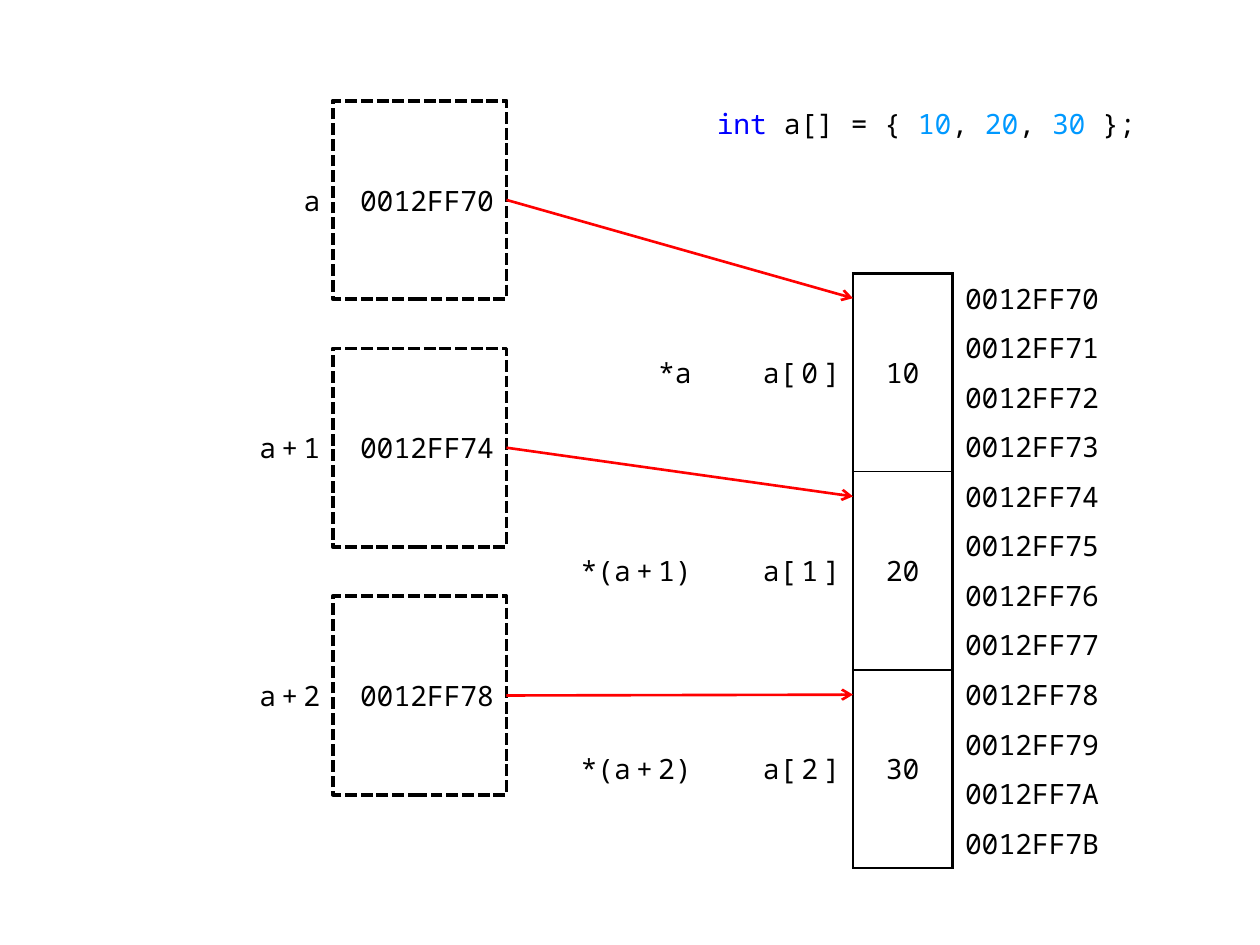
from lxml import etree
from pptx import Presentation
from pptx.dml.color import RGBColor
from pptx.enum.dml import MSO_LINE
from pptx.enum.shapes import MSO_CONNECTOR, MSO_SHAPE
from pptx.enum.text import MSO_ANCHOR, PP_ALIGN
from pptx.oxml.ns import qn
from pptx.util import Inches, Pt

LEFT, MID, RIGHT = PP_ALIGN.LEFT, PP_ALIGN.CENTER, PP_ALIGN.RIGHT
CENTER, TOP = MSO_ANCHOR.MIDDLE, MSO_ANCHOR.TOP
DOTS, RECT, LINE = MSO_LINE.SQUARE_DOT, MSO_SHAPE.RECTANGLE, MSO_CONNECTOR.STRAIGHT
COLORS = {"ink": "000000", "key": "0000FF", "num": "0099FF", "arrow": "FF0000"}
FONT = "Noto Sans Mono"
PLAIN = "{2D5ABB26-0587-4C30-8999-92F81FD0307C}"
COUNT, SPAN = 3, 4
ROWS = COUNT * SPAN
ROW = Inches(4.72) // ROWS
BASE = 0x0012FF70
VALUES = ["10", "20", "30"]


def rgb(name):
    """Return the named colour."""
    return RGBColor.from_string(COLORS[name])


def write(frame, *runs, align=LEFT, anchor=CENTER, size=16):
    """Fill a frame with runs of (text, colour, spacing in points)."""
    frame.word_wrap = True
    frame.vertical_anchor = anchor
    para = frame.paragraphs[0]
    para.alignment = align
    for text, color, gap in runs:
        run = para.add_run()
        run.text = text
        run.font.name = FONT
        run.font.size = Pt(size)
        run.font.color.rgb = rgb(color)
        if gap:
            run.font._element.set("spc", str(gap * 100))


def ink(text, gap=0):
    """Return a run in the main text colour."""
    return text, "ink", gap


def border(cell, **sides):
    """Draw cell borders, given as L, R, T, B widths in that order."""
    props = cell._tc.get_or_add_tcPr()
    for spot, (side, width) in enumerate(sides.items()):
        line = etree.Element(qn("a:ln" + side), w=str(Pt(width)))
        fill = etree.SubElement(line, qn("a:solidFill"))
        etree.SubElement(fill, qn("a:srgbClr"), val=COLORS["ink"])
        props.insert(spot, line)


def add_code(slide, x, y, w, h):
    """Add the array declaration."""
    box = slide.shapes.add_textbox(x, y, w, h)
    runs = [("int ", "key", 0), ink("a[] = { ")]
    for i, value in enumerate(VALUES):
        runs += [("" + value, "num", 0), ink(", " if i < COUNT - 1 else " };")]
    write(box.text_frame, *runs, anchor=TOP)


def add_memory(slide, x, y, w, h):
    """Add the table of array elements and their byte addresses."""
    frame = slide.shapes.add_table(ROWS, 6, x, y, w, h)
    table = frame.table
    table.first_row = table.horz_banding = False
    table._tbl.tblPr.find(qn("a:tableStyleId")).text = PLAIN
    for col, width in zip(table.columns, (1.77, 1.57, 1.38, 1.18, 0.79, 1.57)):
        col.width = Inches(width)
    for row in table.rows:
        row.height = ROW
    for cell in table.iter_cells():
        cell.fill.background()
        cell.margin_top = cell.margin_bottom = Inches(0.02)
    for r in range(ROWS):
        border(table.cell(r, 3), R=1.5)
        top = 1.5 if r == 0 else 1
        low = 1.5 if r >= ROWS - SPAN else 1
        edges = {"L": 1.5, "R": 1.5}
        if r % SPAN == 0:
            edges.update(T=top, B=low)
        elif r % SPAN == SPAN - 1:
            edges.update(B=low)
        border(table.cell(r, 4), **edges)
        side = table.cell(r, 5)
        border(side, L=1.5)
        write_cell(side, ink(f"{BASE + r:08X}"))
    for r in range(1, ROWS - 1, 2):
        for c in range(4):
            table.cell(r, c).merge(table.cell(r + 1, c))
    for i, value in enumerate(VALUES):
        r = i * SPAN
        table.cell(r, 4).merge(table.cell(r + SPAN - 1, 4))
        write_cell(table.cell(r, 4), ink(value), align=MID)
        deref = [ink("*("), ink("a+", 3), ink(f"{i})")] if i else [ink("*"), ink("a", 3)]
        write_cell(table.cell(r + 1, 2), *deref, align=RIGHT)
        write_cell(table.cell(r + 1, 3), ink("a"), ink(f"[{i}", 3), ink("]"), align=RIGHT)


def write_cell(cell, *runs, align=LEFT):
    """Fill a table cell, centred in height."""
    write(cell.text_frame, *runs, align=align)
    cell.vertical_anchor = CENTER


def add_pointer(slide, i, x, y, w, h, goal):
    """Add a dotted address box, its label and its arrow to the goal."""
    box = slide.shapes.add_shape(RECT, x, y, w, h)
    box.shadow.inherit = False
    box.fill.background()
    box.line.color.rgb = rgb("ink")
    box.line.width = Pt(2.25)
    box.line.dash_style = DOTS
    write(box.text_frame, ink(f"{BASE + i * SPAN:08X}"), align=RIGHT)

    wide = 2 * ROW if i else ROW
    label = slide.shapes.add_textbox(x - wide, y + (h - ROW) // 2, wide, ROW)
    runs = [ink("a+", 3), ink(str(i))] if i else [ink("a")]
    write(label.text_frame, *runs, align=RIGHT)

    arrow = slide.shapes.add_connector(LINE, x + w, y + h // 2, *goal)
    arrow.begin_connect(box, 3)
    arrow.line.color.rgb = rgb("arrow")
    arrow.line.width = Pt(1.5)
    etree.SubElement(arrow.line._get_or_add_ln(), qn("a:tailEnd"), type="arrow")
    etree.SubElement(arrow._element.spPr, qn("a:effectLst"))


def main():
    """Build and save the slide."""
    deck = Presentation()
    deck.slide_width, deck.slide_height = Inches(10), Inches(7.5)
    slide = deck.slides.add_slide(deck.slide_layouts[6])
    top, start = Inches(0.8), Inches(2.17)
    add_code(slide, Inches(5.59), top, Inches(3.55), 2 * ROW)
    add_memory(slide, Inches(0.87), start, Inches(8.26), ROWS * ROW)
    for i in range(COUNT):
        goal = Inches(6.77), start + i * SPAN * ROW + ROW // 2
        y = top + i * (SPAN + 1) * ROW
        add_pointer(slide, i, Inches(2.64), y, Inches(1.38), SPAN * ROW, goal)
    deck.save("out.pptx")


if __name__ == "__main__":
    main()
